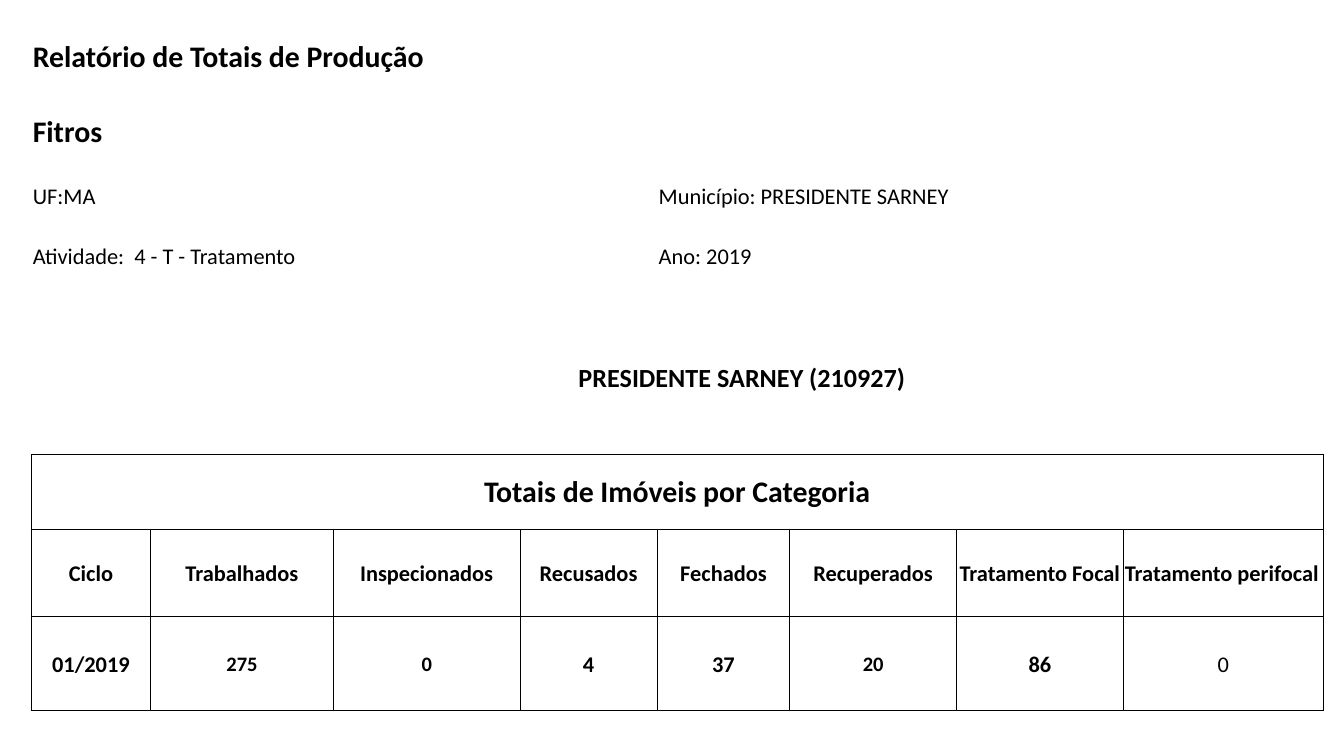
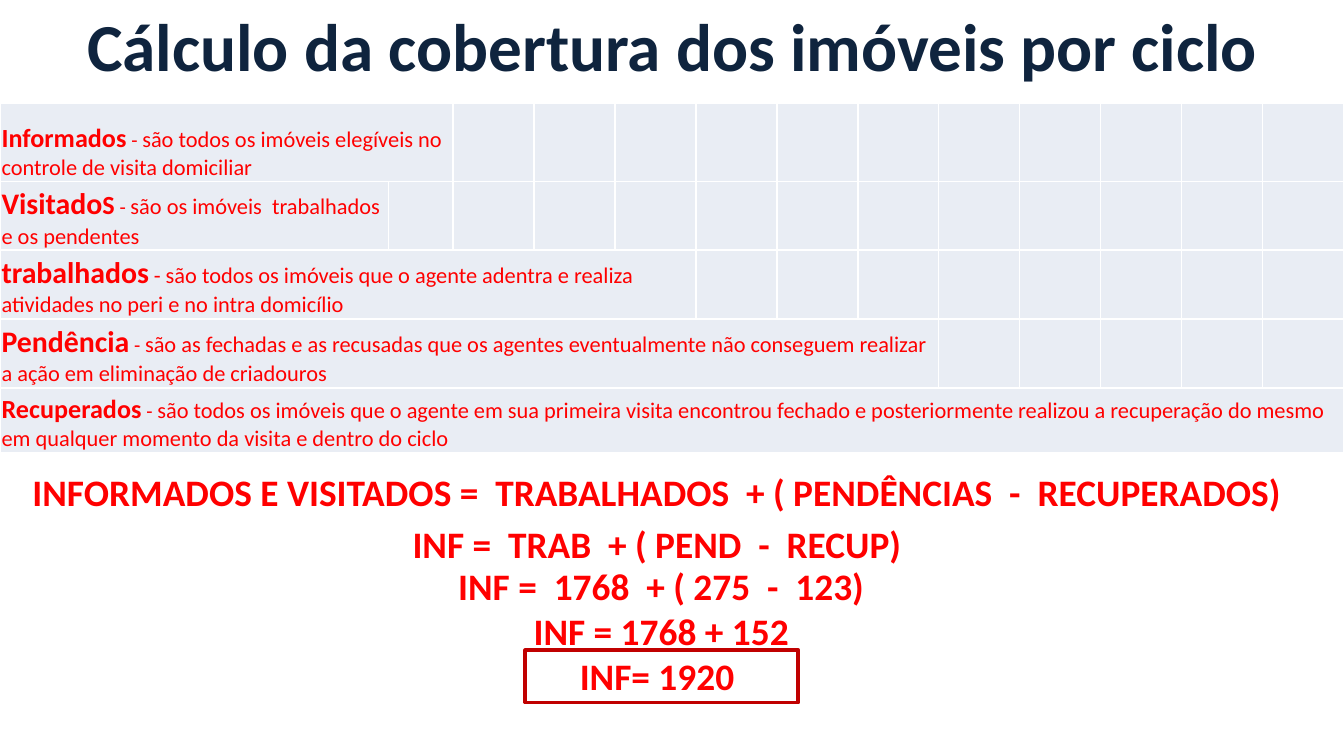
"""Builds two slides: treatment production totals and the coverage calculation per cycle."""
from lxml import etree
from pptx import Presentation
from pptx.dml.color import RGBColor
from pptx.enum.shapes import MSO_SHAPE
from pptx.enum.text import MSO_ANCHOR, PP_ALIGN
from pptx.oxml.ns import qn
from pptx.util import Cm, Pt

LEFT, CENTER = PP_ALIGN.LEFT, PP_ALIGN.CENTER
MIDDLE, BOTTOM = MSO_ANCHOR.MIDDLE, MSO_ANCHOR.BOTTOM
RECTANGLE = MSO_SHAPE.RECTANGLE
FONT = "Calibri"
BLACK, WHITE, RED = "000000", "FFFFFF", "FF0000"
NAVY, DARK_RED, PALE_BLUE = "0F243E", "C00000", "E9EDF4"


def write(paragraph, runs, color, align=LEFT):
    paragraph.alignment = align
    for text, size, bold in runs:
        run = paragraph.add_run()
        run.text = text
        run.font.name = FONT
        run.font.size = Pt(size)
        run.font.bold = bold
        run.font.color.rgb = RGBColor.from_string(color)


def add_grid(slide, left, top, widths, heights, fill, edge, edge_width, first_ruled):
    table = slide.shapes.add_table(len(heights), len(widths), Cm(left), Cm(top),
                                   Cm(sum(widths)), Cm(sum(heights))).table
    table.first_row = table.horz_banding = False
    for column, width in zip(table.columns, widths):
        column.width = Cm(width)
    for index, (row, height) in enumerate(zip(table.rows, heights)):
        row.height = Cm(height)
        sides = "LRTB" if index >= first_ruled else "B" if index == first_ruled - 1 else ""
        for cell in row.cells:
            cell.margin_left = cell.margin_right = cell.margin_top = Cm(0.03)
            cell.margin_bottom = 0
            cell.vertical_anchor = BOTTOM
            if fill:
                cell.fill.solid()
                cell.fill.fore_color.rgb = RGBColor.from_string(fill)
            else:
                cell.fill.background()
            properties = cell._tc.get_or_add_tcPr()
            for position, side in enumerate(sides):
                line = etree.Element(qn(f"a:ln{side}"), w=str(Pt(edge_width)))
                solid = etree.SubElement(line, qn("a:solidFill"))
                etree.SubElement(solid, qn("a:srgbClr"), val=edge)
                properties.insert(position, line)
    return table


prs = Presentation()
prs.slide_width, prs.slide_height = Cm(25.4), Cm(14.29)
blank = prs.slide_layouts[6]

report = prs.slides.add_slide(blank)
totals = add_grid(report, 0.59, 0,
                  [2.26, 3.45, 3.53, 2.59, 2.51, 3.15, 3.15, 3.78],
                  [1.42, 1.42, 1.14, 1.14, 1.14, 1.19, 1.14, 1.42, 1.65, 1.78],
                  None, BLACK, 0.5, 7)

headings = [
    (0, 0, 3, "Relatório de Totais de Produção", 16, True, LEFT),
    (1, 0, 1, "Fitros", 16, True, LEFT),
    (2, 0, 1, "UF:MA", 12, False, LEFT),
    (2, 4, 2, "Município: PRESIDENTE SARNEY", 12, False, LEFT),
    (3, 0, 2, "Atividade:  4 - T - Tratamento", 12, False, LEFT),
    (3, 4, 1, "Ano: 2019", 12, False, LEFT),
    (5, 2, 5, "PRESIDENTE SARNEY (210927)", 14, True, CENTER),
    (7, 0, 8, "Totais de Imóveis por Categoria", 16, True, CENTER),
]
for row, column, span, text, size, bold, align in headings:
    cell = totals.cell(row, column)
    if span > 1:
        cell.merge(totals.cell(row, column + span - 1))
    write(cell.text_frame.paragraphs[0], [(text, size, bold)], BLACK, align)
totals.cell(5, 2).margin_left = Cm(0.55)
totals.cell(7, 0).vertical_anchor = MIDDLE

categories = [
    ("Ciclo", "01/2019", 12, True, CENTER),
    ("Trabalhados", "275", 11, True, CENTER),
    ("Inspecionados", "0", 11, True, CENTER),
    ("Recusados", "4", 12, True, CENTER),
    ("Fechados", "37", 12, True, CENTER),
    ("Recuperados", "20", 11, True, CENTER),
    ("Tratamento Focal", "86", 12, True, CENTER),
    ("Tratamento perifocal", "0", 12, False, LEFT),
]
for column, (category, value, size, bold, category_align) in enumerate(categories):
    for row, run, align in ((8, (category, 12, True), category_align),
                            (9, (value, size, bold), CENTER)):
        cell = totals.cell(row, column)
        cell.vertical_anchor = MIDDLE
        write(cell.text_frame.paragraphs[0], [run], BLACK, align)

coverage = prs.slides.add_slide(blank)
title = coverage.shapes.add_textbox(Cm(1.27), Cm(-0.05), Cm(22.89), Cm(1.8)).text_frame
title.word_wrap = False
write(title.paragraphs[0], [("Cálculo da cobertura dos imóveis por ciclo", 36, True)], NAVY, CENTER)

glossary = add_grid(coverage, 0, 1.96, [7.34, 1.22] + [1.53] * 11,
                    [1.47, 1.3, 1.3, 1.3, 1.22], PALE_BLUE, WHITE, 1, 0)
definitions = [
    (2, [("Informados", 14, True), (" - ", 11, False),
         ("são todos os imóveis elegíveis no controle de visita domiciliar", 12, False)]),
    (1, [("Visitado", 16, True), ("S", 14, True), (" - ", 11, False),
         ("são os imóveis  trabalhados  e os pendentes", 12, False)]),
    (5, [("trabalhados", 16, True), (" ", 11, False),
         ("- são todos os imóveis que o agente adentra e realiza atividades "
          "no peri e no intra domicílio", 12, False)]),
    (8, [("Pendência", 16, True), (" - ", 11, False),
         ("são as fechadas e as recusadas que os agentes eventualmente não conseguem "
          "realizar a ação em eliminação de criadouros", 12, False)]),
    (13, [("Recuperados", 14, True), (" - ", 11, False),
          ("são todos os imóveis que o agente em sua primeira visita encontrou fechado e "
           "posteriormente realizou a recuperação do mesmo em qualquer momento da visita "
           "e dentro do ciclo", 12, False)]),
]
for row, (span, runs) in enumerate(definitions):
    cell = glossary.cell(row, 0)
    if span > 1:
        cell.merge(glossary.cell(row, span - 1))
    write(cell.text_frame.paragraphs[0], runs, RED)

formulas = [
    (8.74, 1.11, ["INFORMADOS E VISITADOS =  TRABALHADOS  + ( PENDÊNCIAS  -  RECUPERADOS) "]),
    (9.73, 1.11, ["INF =  TRAB  + ( PEND  -  RECUP) "]),
    (10.52, 2.82, ["INF =  1768  + ( 275  -  123)", "INF = 1768 + 152", "INF= 1920 "]),
]
for top, height, steps in formulas:
    formula = coverage.shapes.add_textbox(Cm(-0.2), Cm(top), Cm(25.4), Cm(height)).text_frame
    formula.word_wrap = True
    for index, step in enumerate(steps):
        paragraph = formula.add_paragraph() if index else formula.paragraphs[0]
        write(paragraph, [(step, 20, True)], RED, CENTER)

result_frame = coverage.shapes.add_shape(RECTANGLE, Cm(9.93), Cm(12.29), Cm(5.16), Cm(0.99))
result_frame.shadow.inherit = False
result_frame.fill.background()
result_frame.line.color.rgb = RGBColor.from_string(DARK_RED)
result_frame.line.width = Pt(2)

prs.save("out.pptx")
